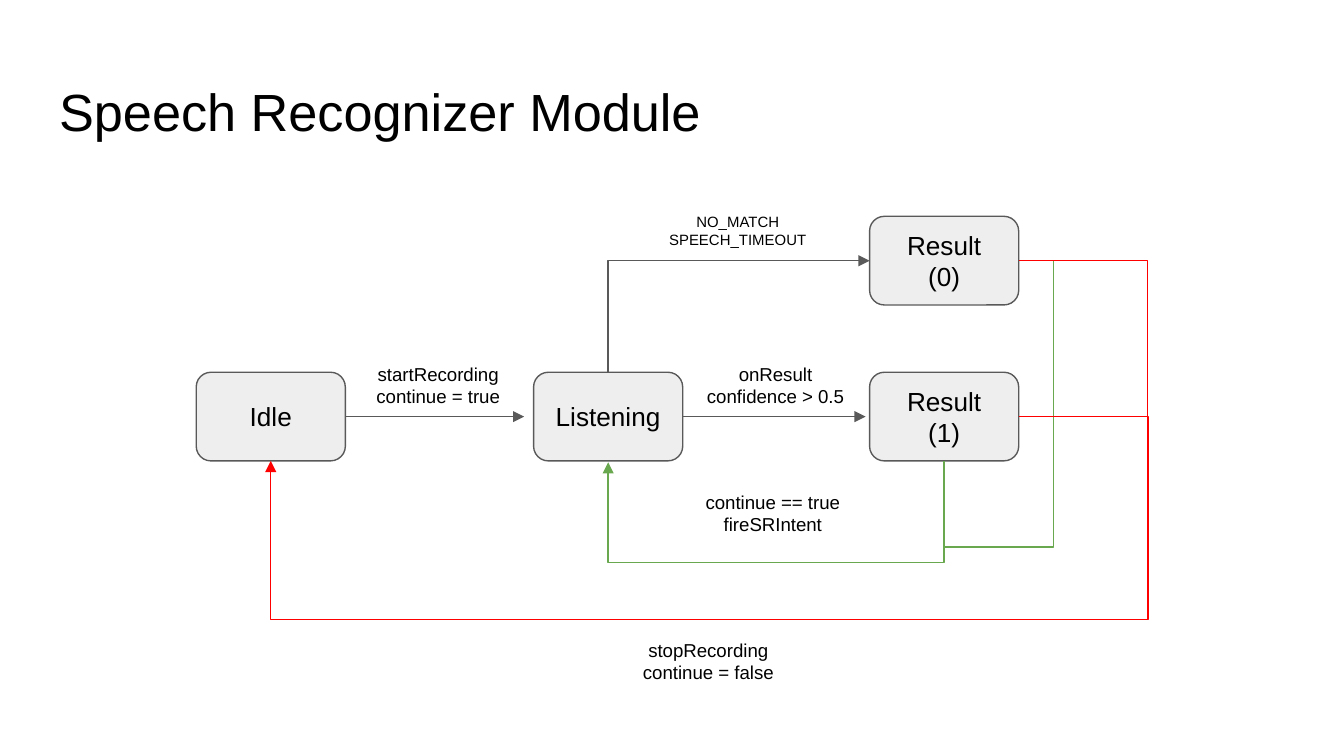
from dataclasses import dataclass

from lxml import etree
from pptx import Presentation
from pptx.dml.color import RGBColor
from pptx.enum.shapes import MSO_CONNECTOR, MSO_SHAPE
from pptx.enum.text import MSO_ANCHOR, MSO_AUTO_SIZE, PP_ALIGN
from pptx.oxml.ns import qn
from pptx.slide import Slide
from pptx.text.text import TextFrame
from pptx.util import Inches, Pt

ELBOW, STRAIGHT = MSO_CONNECTOR.ELBOW, MSO_CONNECTOR.STRAIGHT
ROUNDED = MSO_SHAPE.ROUNDED_RECTANGLE
TOP, MIDDLE = MSO_ANCHOR.TOP, MSO_ANCHOR.MIDDLE
LEFT, CENTER = PP_ALIGN.LEFT, PP_ALIGN.CENTER
NO_AUTOFIT = MSO_AUTO_SIZE.NONE

BLACK = RGBColor(0x00, 0x00, 0x00)
PALE_GRAY = RGBColor(0xEE, 0xEE, 0xEE)
DARK_GRAY = RGBColor(0x59, 0x59, 0x59)
GREEN = RGBColor(0x6A, 0xA8, 0x4F)
RED = RGBColor(0xFF, 0x00, 0x00)

FONT = "Arial"
SLIDE_WIDTH = Inches(10)
SLIDE_HEIGHT = SLIDE_WIDTH * 9 // 16
LINE_WIDTH = Pt(0.75)
STATE_WIDTH, STATE_HEIGHT = 1.11, 0.66
LABEL_WIDTH, LABEL_HEIGHT = 1.24, 0.4
IDLE_X, LISTENING_X, RESULT_X = 1.46, 3.97, 6.47
UPPER_Y, LOWER_Y = 1.61, 2.77
RESULT_RIGHT = RESULT_X + STATE_WIDTH
UPPER_MIDDLE = UPPER_Y + STATE_HEIGHT / 2
LOWER_MIDDLE = LOWER_Y + STATE_HEIGHT / 2
LOWER_BOTTOM = LOWER_Y + STATE_HEIGHT
IDLE_CENTER = IDLE_X + STATE_WIDTH / 2
LISTENING_CENTER = LISTENING_X + STATE_WIDTH / 2
RESULT_CENTER = RESULT_X + STATE_WIDTH / 2
STOP_X = 8.54


@dataclass(frozen=True)
class State:
    name: str
    left: float
    top: float


@dataclass(frozen=True)
class Label:
    text: str
    left: float
    top: float
    size: int = 10


@dataclass(frozen=True)
class Transition:
    start: tuple[float, float]
    end: tuple[float, float]
    color: RGBColor = DARK_GRAY
    arrow: bool = True
    preset: str = "line"
    rotation: int = 0
    bends: tuple[float, ...] = ()


STATES = [
    State("Idle", IDLE_X, LOWER_Y),
    State("Result (1)", RESULT_X, LOWER_Y),
    State("Listening", LISTENING_X, LOWER_Y),
    State("Result (0)", RESULT_X, UPPER_Y),
]

LABELS = [
    Label("startRecording\ncontinue = true", 2.64, 2.6),
    Label("onResult\nconfidence > 0.5", 5.15, 2.6),
    Label("continue == true\nfireSRIntent", 5.13, 3.55),
    Label("NO_MATCH\nSPEECH_TIMEOUT", 4.87, 1.48, 8),
    Label("stopRecording\ncontinue = false", 4.65, 4.65),
]

TRANSITIONS = [
    Transition((IDLE_X + STATE_WIDTH, LOWER_MIDDLE), (3.9, LOWER_MIDDLE)),
    Transition((LISTENING_X + STATE_WIDTH, LOWER_MIDDLE), (6.44, LOWER_MIDDLE)),
    Transition((RESULT_CENTER, LOWER_BOTTOM), (LISTENING_CENTER, LOWER_BOTTOM + 0.01),
               GREEN, preset="bentConnector3", rotation=90, bends=(0.77,)),
    Transition((LISTENING_CENTER, LOWER_Y), (RESULT_X, UPPER_MIDDLE),
               preset="bentConnector2", rotation=270),
    Transition((RESULT_RIGHT, UPPER_MIDDLE), (RESULT_CENTER, 4.07), GREEN, arrow=False,
               preset="bentConnector4", bends=(0.26, 4.07 - UPPER_MIDDLE)),
    Transition((RESULT_RIGHT, LOWER_MIDDLE), (IDLE_CENTER, LOWER_BOTTOM), RED,
               preset="bentConnector4", bends=(STOP_X - RESULT_RIGHT, 4.61 - LOWER_MIDDLE)),
    Transition((RESULT_RIGHT, UPPER_MIDDLE), (STOP_X, LOWER_MIDDLE), RED, arrow=False,
               preset="bentConnector2"),
]


def write_text(frame: TextFrame, text: str, size: int, align: PP_ALIGN,
               anchor: MSO_ANCHOR, side_inset: float = 0.1) -> None:
    frame.text = text
    frame.word_wrap = True
    frame.auto_size = NO_AUTOFIT
    frame.vertical_anchor = anchor
    frame.margin_left = frame.margin_right = Inches(side_inset)
    frame.margin_top = frame.margin_bottom = Inches(0.1)
    for paragraph in frame.paragraphs:
        paragraph.alignment = align
        for run in paragraph.runs:
            run.font.name = FONT
            run.font.size = Pt(size)
            run.font.color.rgb = BLACK


def draw_state(slide: Slide, state: State) -> None:
    box = slide.shapes.add_shape(ROUNDED, Inches(state.left), Inches(state.top),
                                 Inches(STATE_WIDTH), Inches(STATE_HEIGHT))
    box.shadow.inherit = False
    box.fill.solid()
    box.fill.fore_color.rgb = PALE_GRAY
    box.line.color.rgb = DARK_GRAY
    box.line.width = LINE_WIDTH
    write_text(box.text_frame, state.name, 14, CENTER, MIDDLE, 0.12)


def draw_label(slide: Slide, label: Label) -> None:
    box = slide.shapes.add_textbox(Inches(label.left), Inches(label.top),
                                   Inches(LABEL_WIDTH), Inches(LABEL_HEIGHT))
    write_text(box.text_frame, label.text, label.size, CENTER, TOP)


def draw_transition(slide: Slide, transition: Transition) -> None:
    (x1, y1), (x2, y2) = transition.start, transition.end
    center_x, center_y = (x1 + x2) / 2, (y1 + y2) / 2
    dx, dy = x2 - x1, y2 - y1
    run, rise = {0: (dx, dy), 90: (dy, -dx), 270: (-dy, dx)}[transition.rotation]
    kind = STRAIGHT if transition.preset == "line" else ELBOW
    connector = slide.shapes.add_connector(
        kind, Inches(center_x - run / 2), Inches(center_y - rise / 2),
        Inches(center_x + run / 2), Inches(center_y + rise / 2))
    connector.line.color.rgb = transition.color
    connector.line.width = LINE_WIDTH
    properties = connector._element.spPr
    if transition.rotation:
        properties.find(qn("a:xfrm")).set("rot", str(transition.rotation * 60000))
    geometry = properties.find(qn("a:prstGeom"))
    geometry.set("prst", transition.preset)
    adjustments = geometry.find(qn("a:avLst"))
    for number, (bend, extent) in enumerate(zip(transition.bends, (run, rise)), 1):
        etree.SubElement(adjustments, qn("a:gd"), name=f"adj{number}",
                         fmla=f"val {round(bend / extent * 100000)}")
    if transition.arrow:
        etree.SubElement(properties.find(qn("a:ln")), qn("a:tailEnd"), type="triangle")
    etree.SubElement(properties, qn("a:effectLst"))


def main() -> None:
    presentation = Presentation()
    presentation.slide_width = SLIDE_WIDTH
    presentation.slide_height = SLIDE_HEIGHT
    slide = presentation.slides.add_slide(presentation.slide_layouts[5])
    title = slide.shapes.title
    title.left, title.top = Inches(0.34), Inches(0.49)
    title.width, title.height = Inches(9.32), Inches(0.63)
    write_text(title.text_frame, "Speech Recognizer Module", 28, LEFT, TOP)
    for state in STATES:
        draw_state(slide, state)
    for transition in TRANSITIONS:
        draw_transition(slide, transition)
    for label in LABELS:
        draw_label(slide, label)
    presentation.save("out.pptx")


if __name__ == "__main__":
    main()
